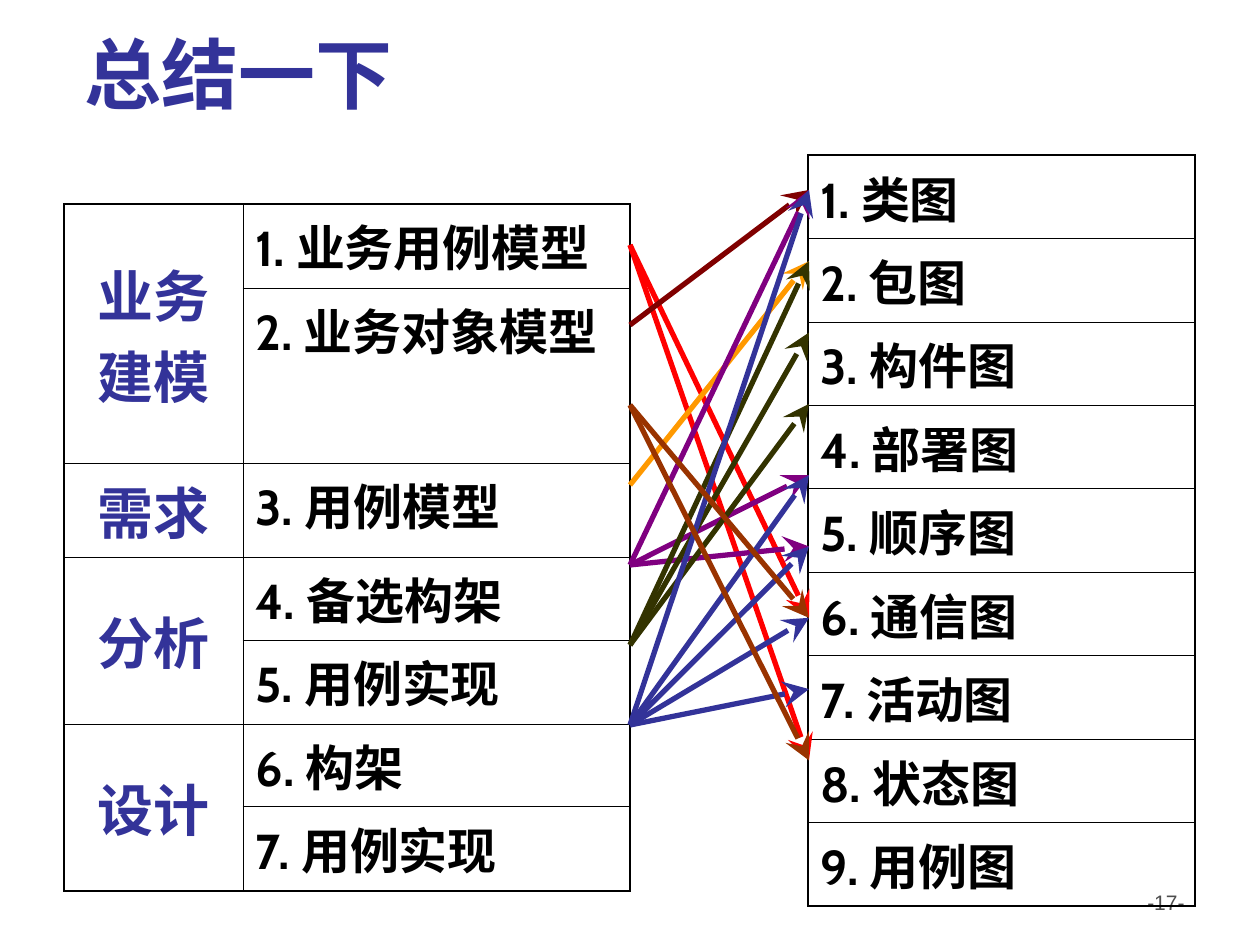
from lxml import etree
from pptx import Presentation
from pptx import util as u
from pptx.dml.color import RGBColor
from pptx.enum import shapes, text
from pptx.oxml import ns

COLORS = {
    "black": "000000", "gray": "4D4D4D", "indigo": "333399", "red": "FF0000",
    "maroon": "800000", "orange": "FF9900", "purple": "800080",
    "olive": "333300", "brown": "993300",
}
MODELS = ["业务用例模型", "业务对象模型", "用例模型", "备选构架", "用例实现", "构架", "用例实现"]
DIAGRAMS = ["类图", "包图", "构件图", "部署图", "顺序图", "通信图", "活动图", "状态图", "用例图"]
PHASES = [("业务建模", 0, 1), ("需求", 2, 2), ("分析", 3, 4), ("设计", 5, 6)]
LINKS = [
    ("red", 0, [8, 6]), ("maroon", 1, [0]), ("orange", 3, [1]),
    ("purple", 4, [4, 5, 0]), ("olive", 5, [1, 2, 3]),
    ("indigo", 6, [0, 4, 5, 6, 7]), ("brown", 2, [8, 6]),
]
MODEL_ROWS = [84, 175, 94, 83, 84, 83, 84]
DIAGRAMS_HEIGHT = 751


def px(length):
    return u.Emu(round(length * 914400 / 126))


def write(frame, content, size=28, color="black", bold=True, font="Cabin",
          align=text.PP_ALIGN.LEFT):
    paragraph = frame.paragraphs[0]
    paragraph.alignment = align
    run = paragraph.add_run()
    run.text = content
    run.font.name = font
    run.font.size = u.Pt(size)
    run.font.bold = bold
    run.font.color.rgb = RGBColor.from_string(COLORS[color])


class Board:
    thin, thick = u.Pt(0.45), u.Pt(1.08)

    def __init__(self, slide):
        self.slide = slide

    def title(self, content, left, top, width, height):
        heading = self.slide.shapes.title
        heading.left, heading.top = px(left), px(top)
        heading.width, heading.height = px(width), px(height)
        heading.text_frame.vertical_anchor = text.MSO_ANCHOR.BOTTOM
        write(heading.text_frame, content, size=44, color="indigo")

    def page_number(self, content, left, top, width, height):
        box = self.slide.shapes.add_textbox(px(left), px(top), px(width), px(height))
        box.text_frame.word_wrap = True
        write(box.text_frame, content, size=12, color="gray", bold=False,
              font="Arial", align=text.PP_ALIGN.RIGHT)

    def table(self, left, top, widths, heights, spans=()):
        grid = self.slide.shapes.add_table(
            len(heights), len(widths), px(left), px(top),
            px(sum(widths)), px(sum(heights))).table
        grid.first_row = grid.horz_banding = False
        for column, width in zip(grid.columns, widths):
            column.width = px(width)
        for row, height in zip(grid.rows, heights):
            row.height = px(height)
        ends = {first: last for _, first, last in spans}
        for r in range(len(heights)):
            for c in range(len(widths)):
                bottom = ends.get(r, r) if c == 0 else r
                outer = {"L": c == 0, "R": c == len(widths) - 1,
                         "T": r == 0, "B": bottom == len(heights) - 1}
                self.border(grid.cell(r, c), outer)
                grid.cell(r, c).fill.background()
        return grid

    def border(self, cell, outer):
        properties = cell._tc.get_or_add_tcPr()
        for side, is_outer in outer.items():
            line = etree.SubElement(properties, ns.qn(f"a:ln{side}"),
                                    w=str(self.thick if is_outer else self.thin))
            fill = etree.SubElement(line, ns.qn("a:solidFill"))
            etree.SubElement(fill, ns.qn("a:srgbClr"), val=COLORS["black"])

    def numbered(self, grid, column, names):
        for row, name in enumerate(names):
            write(grid.cell(row, column).text_frame, f"{row + 1}. {name}")

    def phase(self, grid, name, first, last):
        cell = grid.cell(first, 0)
        if last > first:
            cell.merge(grid.cell(last, 0))
        cell.vertical_anchor = text.MSO_ANCHOR.MIDDLE
        write(cell.text_frame, name, size=32, color="indigo", align=text.PP_ALIGN.CENTER)

    def arrows(self, color, model, diagrams):
        holder = self.slide.shapes
        if len(diagrams) > 1:
            holder = holder.add_group_shape().shapes
        for diagram in diagrams:
            arrow = holder.add_connector(
                shapes.MSO_CONNECTOR.STRAIGHT, px(630), px(245 + 80 * model),
                px(809), px(190 + 71.3 * diagram))
            arrow.line.color.rgb = RGBColor.from_string(COLORS[color])
            arrow.line.width = u.Pt(3)
            etree.SubElement(arrow.line._get_or_add_ln(), ns.qn("a:tailEnd"),
                             type="stealth", w="lg", len="lg")
            etree.SubElement(arrow._element.spPr, ns.qn("a:effectLst"))


def main():
    deck = Presentation()
    deck.slide_width, deck.slide_height = px(1260), px(945)
    board = Board(deck.slides.add_slide(deck.slide_layouts[5]))
    board.page_number("-17-", 903, 883, 294, 66)
    board.title("总结一下", 72, 35, 1094, 90)

    process = board.table(64, 204, [179, 387], MODEL_ROWS, PHASES)
    for name, first, last in PHASES:
        board.phase(process, name, first, last)
    board.numbered(process, 1, MODELS)

    count = len(DIAGRAMS)
    notation = board.table(808, 155, [387], [DIAGRAMS_HEIGHT / count] * count)
    board.numbered(notation, 0, DIAGRAMS)

    for color, model, diagrams in LINKS:
        board.arrows(color, model, diagrams)
    deck.save("out.pptx")


if __name__ == "__main__":
    main()
